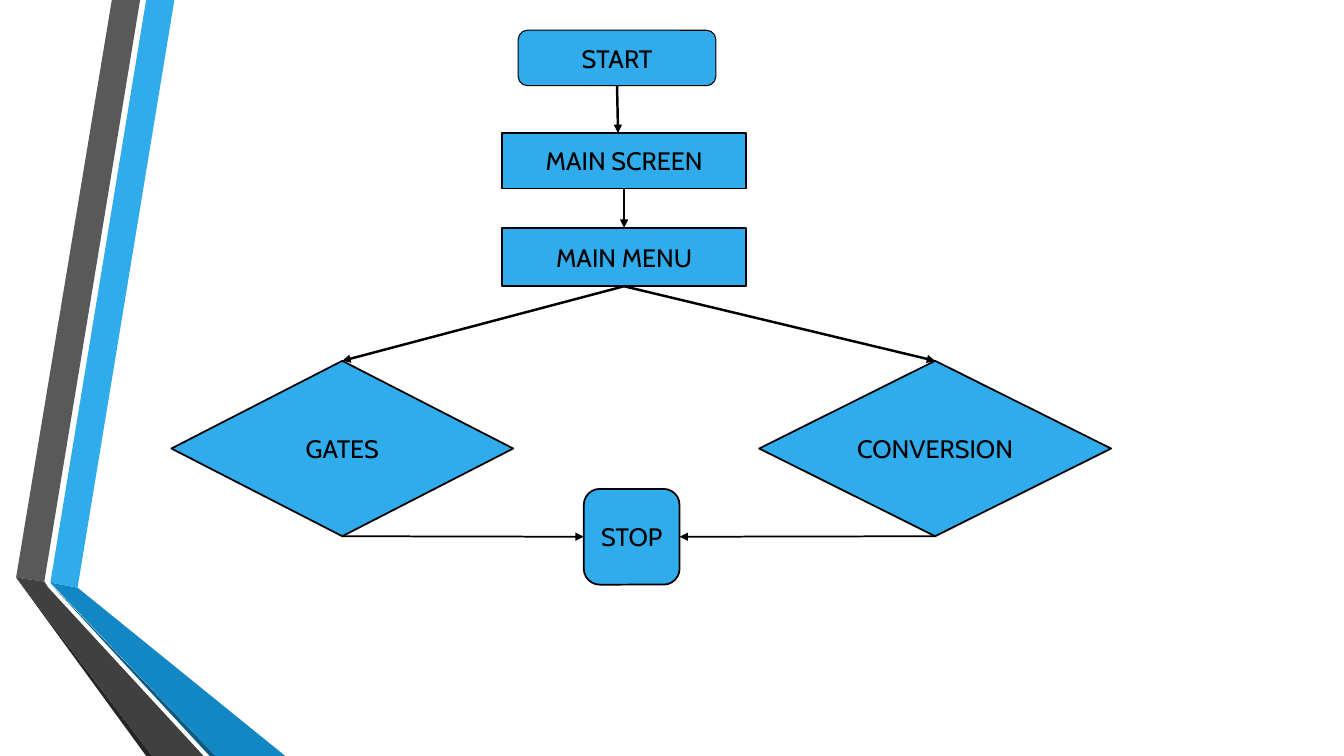
from dataclasses import dataclass

from lxml import etree
from pptx import Presentation
from pptx.dml.color import RGBColor
from pptx.enum.shapes import MSO_CONNECTOR, MSO_SHAPE
from pptx.enum.text import MSO_ANCHOR, PP_ALIGN
from pptx.oxml.ns import qn
from pptx.util import Inches, Pt

ROUND = MSO_SHAPE.ROUNDED_RECTANGLE
RECT = MSO_SHAPE.RECTANGLE
CHOICE = MSO_SHAPE.FLOWCHART_DECISION
LINE = MSO_CONNECTOR.STRAIGHT
MIDDLE = MSO_ANCHOR.MIDDLE
CENTER = PP_ALIGN.CENTER
TOP, LEFT, BOTTOM, RIGHT = range(4)  # connection sites
FONT = "Cabin"
HUES = {
    "blue": "30ACEC", "deep": "1287C3", "navy": "0C5A82",
    "gray": "595959", "dark": "404040", "coal": "262626", "ink": "000000",
}


@dataclass
class Band:
    hue: str
    points: list[tuple[float, float]]


@dataclass
class Node:
    text: str
    kind: int
    left: float
    top: float
    width: float
    height: float
    line: float = 1.25


@dataclass
class Link:
    start: str
    out: int
    end: str
    into: int
    line: float = 1.75
    shift: float = 0  # offset of the tip from the site


BANDS = [
    Band("blue", [(0.5, 5.78), (0.77, 5.83), (1.73, 0), (1.45, 0)]),
    Band("gray", [(1.39, 0), (1.11, 0), (0.16, 5.73), (0.44, 5.77)]),
    Band("coal", [(0.16, 5.73), (1.45, 7.5), (1.51, 7.5)]),
    Band("navy", [(0.5, 5.79), (2.08, 7.5), (2.14, 7.5)]),
    Band("deep", [(0.5, 5.78), (2.14, 7.5), (2.83, 7.5), (0.77, 5.83)]),
    Band("dark", [(2.02, 7.5), (0.48, 5.83), (0.44, 5.77), (0.16, 5.73), (1.51, 7.5)]),
]
NODES = [
    Node("START", ROUND, 5.14, 0.3, 1.96, 0.55, 0.75),
    Node("MAIN SCREEN", RECT, 4.98, 1.32, 2.42, 0.55),
    Node("MAIN MENU", RECT, 4.98, 2.26, 2.42, 0.58),
    Node("GATES", CHOICE, 1.7, 3.58, 3.39, 1.74),
    Node("CONVERSION", CHOICE, 7.53, 3.58, 3.49, 1.74),
    Node("STOP", ROUND, 5.79, 4.85, 0.95, 0.95),
]
LINKS = [
    Link("START", BOTTOM, "MAIN SCREEN", TOP, shift=-0.06),
    Link("MAIN SCREEN", BOTTOM, "MAIN MENU", TOP),
    Link("MAIN MENU", BOTTOM, "GATES", TOP),
    Link("MAIN MENU", BOTTOM, "CONVERSION", TOP),
    Link("GATES", BOTTOM, "STOP", LEFT, 1.25),
    Link("CONVERSION", BOTTOM, "STOP", RIGHT, 1.25),
]


def color(name: str) -> RGBColor:
    return RGBColor.from_string(HUES[name])


def paint(shape, hue: str) -> None:
    shape.shadow.inherit = False
    shape.fill.solid()
    shape.fill.fore_color.rgb = color(hue)


def draw_band(slide, band: Band) -> None:
    first, *rest = [(Inches(x), Inches(y)) for x, y in band.points]
    pen = slide.shapes.build_freeform(*first)
    pen.add_line_segments(rest, close=True)
    shape = pen.convert_to_shape()
    paint(shape, band.hue)
    shape.line.fill.background()


def draw_node(slide, node: Node):
    box = map(Inches, (node.left, node.top, node.width, node.height))
    shape = slide.shapes.add_shape(node.kind, *box)
    paint(shape, "blue")
    shape.line.color.rgb = color("ink")
    shape.line.width = Pt(node.line)
    frame = shape.text_frame
    frame.text = node.text
    frame.word_wrap = False
    frame.vertical_anchor = MIDDLE
    para = frame.paragraphs[0]
    para.alignment = CENTER
    font = para.runs[0].font
    font.name, font.size = FONT, Pt(18)
    font.color.rgb = color("ink")
    return shape


def draw_link(slide, link: Link, shapes: dict) -> None:
    arrow = slide.shapes.add_connector(LINE, 0, 0, 0, 0)
    arrow.begin_connect(shapes[link.start], link.out)
    end = shapes[link.end]
    if link.shift:
        arrow.end_x = end.left + end.width // 2 + Inches(link.shift)
        arrow.end_y = end.top
    else:
        arrow.end_connect(end, link.into)
    arrow.line.color.rgb = color("ink")
    arrow.line.width = Pt(link.line)
    # Arrowhead at the tip, no shadow
    props = arrow.line._get_or_add_ln()
    etree.SubElement(props, qn("a:tailEnd"), type="triangle")
    etree.SubElement(props.getparent(), qn("a:effectLst"))


def main() -> None:
    deck = Presentation()
    deck.slide_width, deck.slide_height = Inches(13.33), Inches(7.5)
    slide = deck.slides.add_slide(deck.slide_layouts[6])

    # Folded ribbons on the left
    for band in BANDS:
        draw_band(slide, band)

    # Flowchart
    shapes = {node.text: draw_node(slide, node) for node in NODES}
    for link in LINKS:
        draw_link(slide, link, shapes)

    deck.save("out.pptx")


if __name__ == "__main__":
    main()
